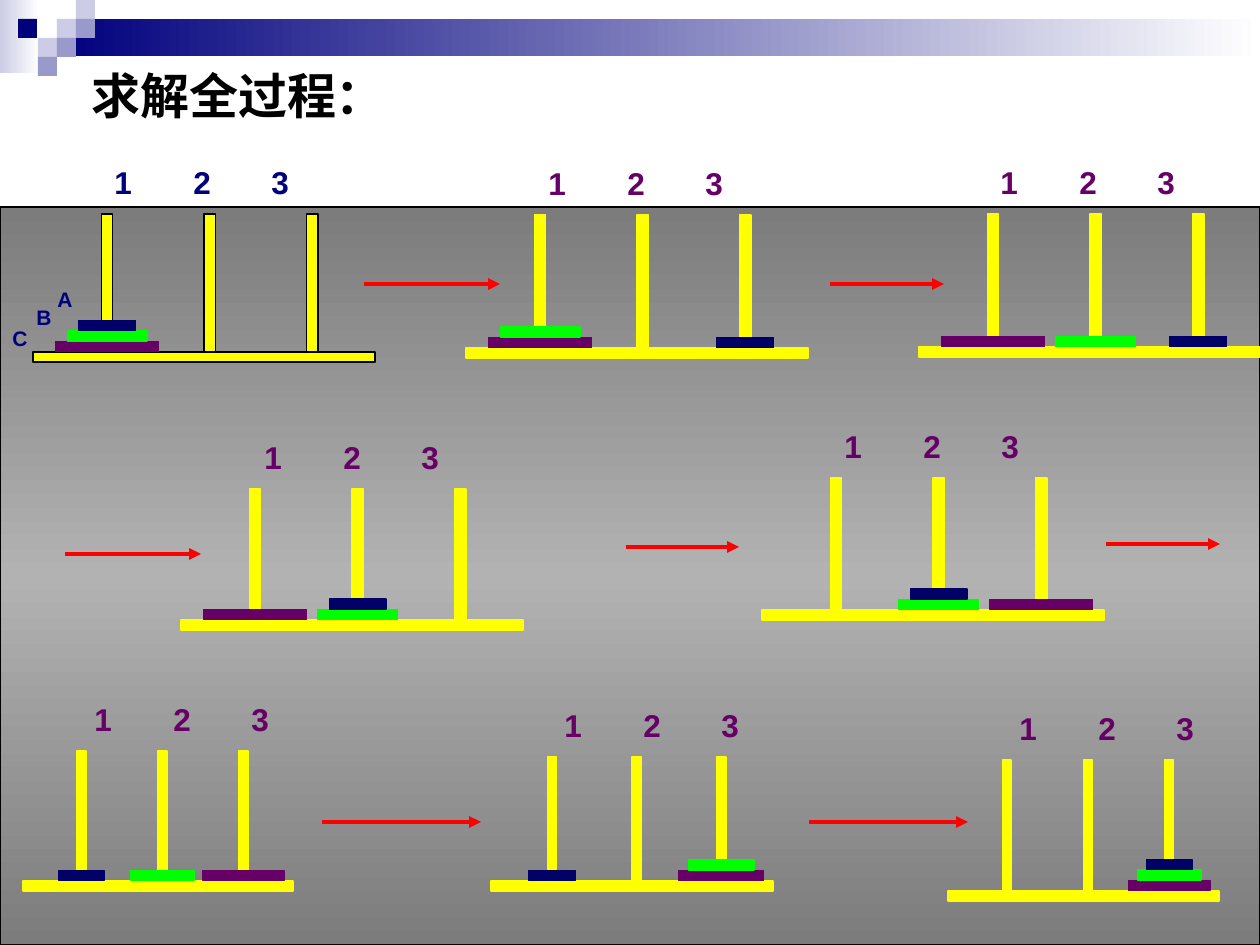
from copy import deepcopy

from pptx import Presentation
from pptx.dml.color import RGBColor
from pptx.enum.shapes import MSO_CONNECTOR, MSO_SHAPE
from pptx.enum.text import MSO_ANCHOR
from pptx.oxml.ns import qn
from pptx.oxml.xmlchemy import OxmlElement
from pptx.util import Pt

RECT = MSO_SHAPE.RECTANGLE
STRAIGHT = MSO_CONNECTOR.STRAIGHT
TOP = MSO_ANCHOR.TOP

NAVY, LAVENDER, PERIWINKLE = "00007D", "CCCCE6", "9999CC"
PURPLE, YELLOW, RED, BLACK = "660066", "FFFF00", "FF0000", "000000"

TITLE = "求解全过程："
PEG_NUMBERS = "1\t2\t3"
NUMBER_STOPS = (79, 157)

BANNERS = [
    ((0, 0, 39, 73), (LAVENDER, "FFFFFF")),
    ((57, 19, 1203, 37), (NAVY, "FFFFFF")),
]
MOSAIC = [
    (57, 19, LAVENDER), (76, 0, LAVENDER), (76, 19, PERIWINKLE),
    (38, 38, LAVENDER), (18, 19, NAVY), (57, 38, PERIWINKLE),
    (38, 57, PERIWINKLE),
]
TILE = 19
PANEL = (0, 207, 1260, 738)
PANEL_SHADES = ("7C7C7C", "B2B2B2", "7C7C7C")

DISCS = {"A": (1 / 6, "000066"), "B": (7 / 30, "00FF00"), "C": (0.3, PURPLE)}
DISC_LABELS = [("A", 45, 280), ("B", 24, 298), ("C", 0, 319)]

# left, base top, base width, peg top, numbers left, stacks from the bottom up
STEPS = [
    (33, 352, 342, 214, 102, ("CBA", "", "")),
    (466, 348, 342, 215, 536, ("CB", "", "A")),
    (919, 347, 342, 214, 988, ("C", "B", "A")),
    (181, 620, 342, 489, 252, ("C", "BA", "")),
    (762, 610, 342, 478, 832, ("", "BA", "C")),
    (23, 881, 270, 751, 82, ("A", "B", "C")),
    (491, 881, 282, 757, 552, ("A", "", "CB")),
    (948, 891, 271, 760, 1007, ("", "", "CBA")),
]
ARROWS = [
    (364, 500, 284), (830, 944, 284), (65, 201, 554), (626, 739, 547),
    (1106, 1220, 544), (322, 481, 822), (809, 968, 822),
]
SLAB, DISC_STEP = 10, 10.5


def px(length):
    return round(length * 914400 / 126)


def rgb(color):
    return RGBColor.from_string(color)


def add_block(box, color=None, line=None, line_width=0.75):
    block = slide.shapes.add_shape(RECT, *map(px, box))
    block.shadow.inherit = False
    if color:
        block.fill.solid()
        block.fill.fore_color.rgb = rgb(color)
    if line:
        block.line.color.rgb = rgb(line)
        block.line.width = Pt(line_width)
    else:
        block.line.fill.background()
    return block


def shade(block, colors, angle):
    block.fill.gradient()
    block.fill.gradient_angle = angle
    stop_list = block._element.spPr.find(qn("a:gradFill")).find(qn("a:gsLst"))
    while len(stop_list) < len(colors):
        stop_list.append(deepcopy(stop_list[0]))
    for index, (stop, color) in enumerate(zip(block.fill.gradient_stops, colors)):
        stop.position = index / (len(colors) - 1)
        stop.color.rgb = rgb(color)


def add_text(box, words, size, color, stops=()):
    frame = slide.shapes.add_textbox(*map(px, box)).text_frame
    frame.word_wrap = True
    frame.vertical_anchor = TOP
    frame.margin_right = 0
    paragraph = frame.paragraphs[0]
    if stops:
        tabs = OxmlElement("a:tabLst")
        for stop in stops:
            tab = OxmlElement("a:tab")
            tab.set("pos", str(px(stop)))
            tab.set("algn", "l")
            tabs.append(tab)
        paragraph._p.get_or_add_pPr().append(tabs)
    run = paragraph.add_run()
    run.text = words
    run.font.name = "Arial"
    run.font.size = Pt(size)
    run.font.bold = True
    run.font.color.rgb = rgb(color)


def add_arrow(start, end, y):
    arrow = slide.shapes.add_connector(STRAIGHT, px(start), px(y), px(end), px(y))
    arrow.line.color.rgb = rgb(RED)
    arrow.line.width = Pt(2.25)
    head = OxmlElement("a:tailEnd")
    head.set("type", "triangle")
    arrow.line._get_or_add_ln().append(head)
    arrow._element.spPr.append(OxmlElement("a:effectLst"))


def add_step(left, base, width, peg_top, numbers_left, stacks, first):
    outline = BLACK if first else YELLOW
    peg_foot = base if first else base + 4
    peg_width = width / 30
    peg_lefts = [left + width * (0.2 + 0.3 * peg) for peg in range(3)]
    add_block((left, base, width, SLAB), YELLOW, outline)
    for peg_left in peg_lefts:
        add_block((peg_left, peg_top, peg_width, peg_foot - peg_top), YELLOW, outline)
    for peg_left, stack in zip(peg_lefts, stacks):
        center = peg_left + peg_width / 2
        for level, disc in enumerate(stack, 1):
            share, color = DISCS[disc]
            disc_width = width * share
            disc_top = base - DISC_STEP * level
            add_block((center - disc_width / 2, disc_top, disc_width, SLAB), color, color)
    add_text((numbers_left, peg_top - 57, 210, 50), PEG_NUMBERS, 18,
             NAVY if first else PURPLE, NUMBER_STOPS)


deck = Presentation()
deck.slide_width, deck.slide_height = px(1260), px(945)
slide = deck.slides.add_slide(deck.slide_layouts[6])

for banner_box, banner_colors in BANNERS:
    shade(add_block(banner_box), banner_colors, 0)
for tile_left, tile_top, tile_color in MOSAIC:
    add_block((tile_left, tile_top, TILE, TILE), tile_color)
add_text((79, 59, 1131, 84), TITLE, 28, BLACK)
shade(add_block(PANEL, line=BLACK, line_width=1.5), PANEL_SHADES, 90)
for number, step in enumerate(STEPS):
    add_step(*step, first=number == 0)
for arrow_span in ARROWS:
    add_arrow(*arrow_span)
for letter, letter_left, letter_top in DISC_LABELS:
    add_text((letter_left, letter_top, 40, 38), letter, 12, NAVY)

deck.save("out.pptx")
